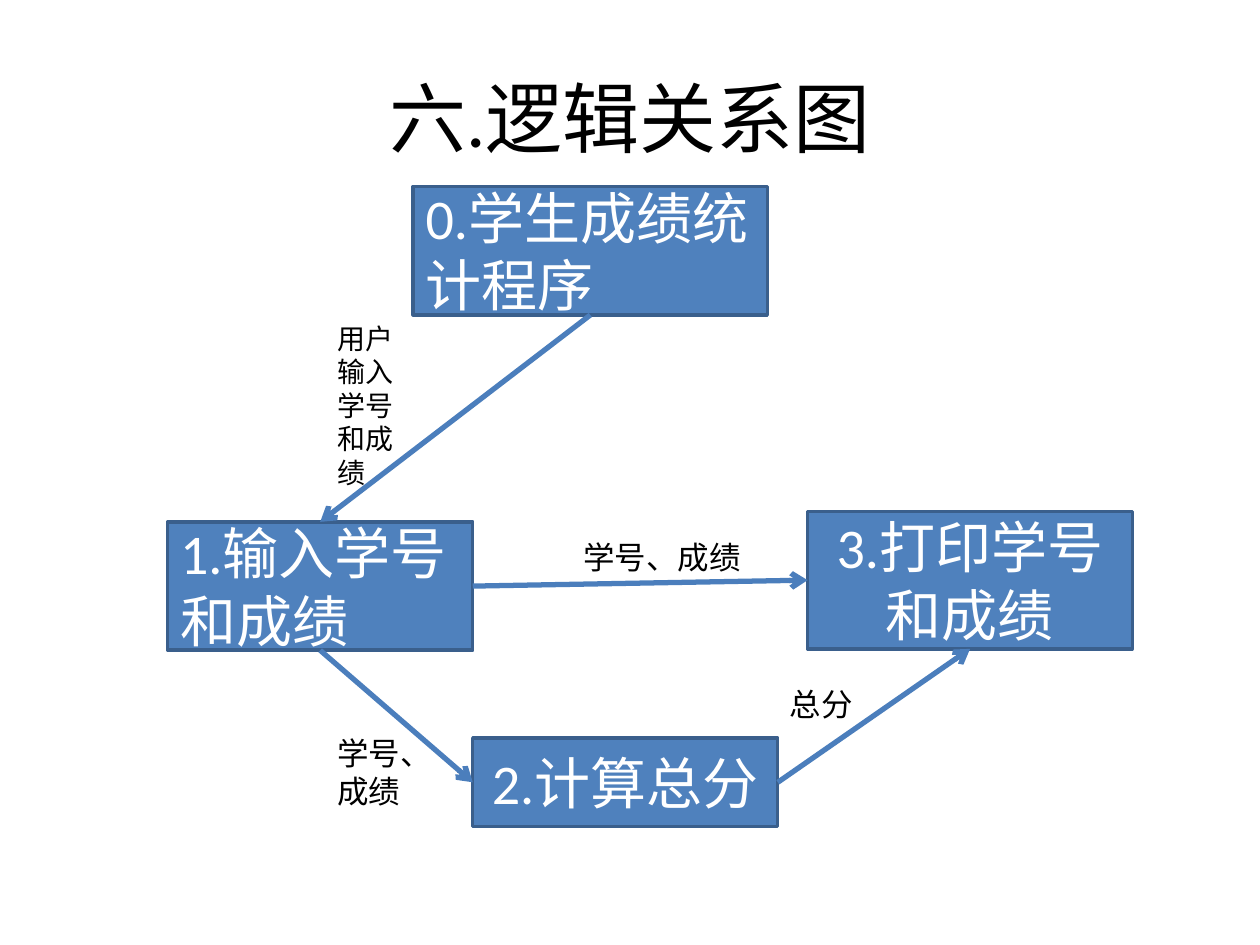
from lxml import etree
from pptx import Presentation
from pptx.dml.color import RGBColor
from pptx.enum import shapes, text
from pptx.oxml import ns
from pptx.util import Cm, Pt

TOP, LEFT, BOTTOM, RIGHT = range(4)
ALIGN = text.PP_ALIGN


def color(value):
    return RGBColor.from_string(value)


def lengths(box):
    return [Cm(value) for value in box]


def write(shape, content, size, ink, align, anchor):
    frame = shape.text_frame
    frame.text = content
    frame.word_wrap = True
    frame.vertical_anchor = anchor
    paragraph = frame.paragraphs[0]
    paragraph.alignment = align
    font = paragraph.runs[0].font
    font.name = "Calibri"
    font.size = Pt(size)
    font.color.rgb = color(ink)


def set_title(slide, content, box):
    title = slide.shapes.title
    title.left, title.top, title.width, title.height = lengths(box)
    write(title, content, 44, "000000", ALIGN.CENTER, text.MSO_ANCHOR.MIDDLE)


def add_module(slide, content, box, align):
    shape = slide.shapes.add_shape(shapes.MSO_SHAPE.RECTANGLE, *lengths(box))
    shape.shadow.inherit = False
    shape.fill.solid()
    shape.fill.fore_color.rgb = color("4F81BD")
    shape.line.color.rgb = color("3A5F8C")
    shape.line.width = Pt(2)
    write(shape, content, 32, "FFFFFF", align, text.MSO_ANCHOR.MIDDLE)
    return shape


def add_arrow(slide, source, source_side, target, target_side):
    arrow = slide.shapes.add_connector(shapes.MSO_CONNECTOR.STRAIGHT, 0, 0, 0, 0)
    arrow.begin_connect(source, source_side)
    arrow.end_connect(target, target_side)
    arrow.line.color.rgb = color("4B7EBC")
    arrow.line.width = Pt(3)
    line = arrow.line._get_or_add_ln()
    etree.SubElement(line, ns.qn("a:tailEnd"), type="arrow")
    etree.SubElement(arrow._element.spPr, ns.qn("a:effectLst"))


def add_label(slide, content, box, size=18):
    label = slide.shapes.add_textbox(*lengths(box))
    write(label, content, size, "000000", ALIGN.LEFT, text.MSO_ANCHOR.TOP)


def main():
    presentation = Presentation()
    presentation.slide_width = Cm(25.4)
    presentation.slide_height = Cm(19.05)
    slide = presentation.slides.add_slide(presentation.slide_layouts[5])
    set_title(slide, "六.逻辑关系图", (1.27, 0.76, 22.86, 3.18))

    program = add_module(slide, "0.学生成绩统计程序", (8.33, 3.76, 7.14, 2.59), ALIGN.LEFT)
    entry = add_module(slide, "1.输入学号和成绩", (3.38, 10.52, 6.15, 2.59), ALIGN.LEFT)
    printing = add_module(slide, "3.打印学号和成绩", (16.28, 10.31, 6.55, 2.77), ALIGN.CENTER)
    total = add_module(slide, "2.计算总分", (9.53, 14.88, 6.15, 1.78), ALIGN.CENTER)

    add_arrow(slide, program, BOTTOM, entry, TOP)
    add_arrow(slide, entry, BOTTOM, total, LEFT)
    add_arrow(slide, total, RIGHT, printing, BOTTOM)
    add_arrow(slide, entry, RIGHT, printing, LEFT)

    add_label(slide, "用户输入学号和成绩", (6.55, 6.35, 2.18, 3.68), 16)
    add_label(slide, "学号、成绩", (6.55, 14.68, 2.59, 1.8))
    add_label(slide, "总分", (15.67, 13.69, 2.77, 1.02))
    add_label(slide, "学号、成绩", (11.51, 10.72, 4.17, 1.02))

    presentation.save("out.pptx")


if __name__ == "__main__":
    main()
